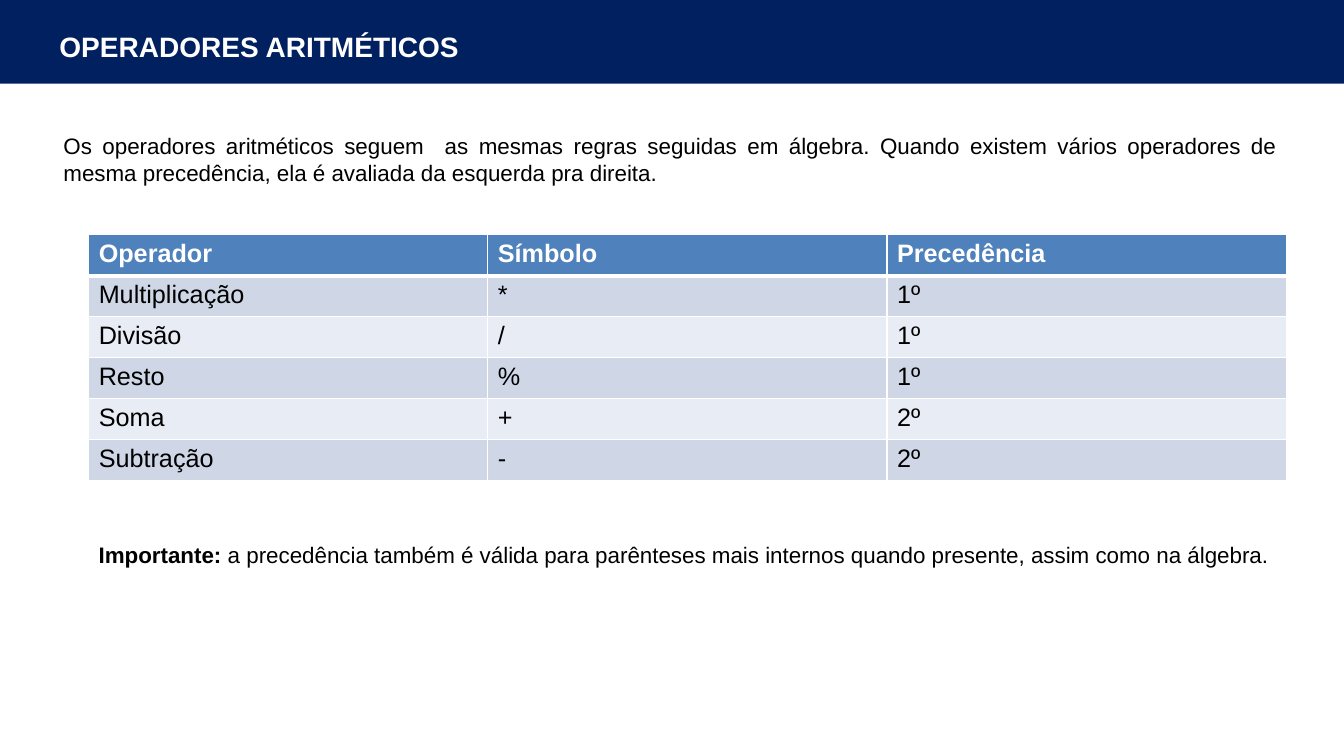
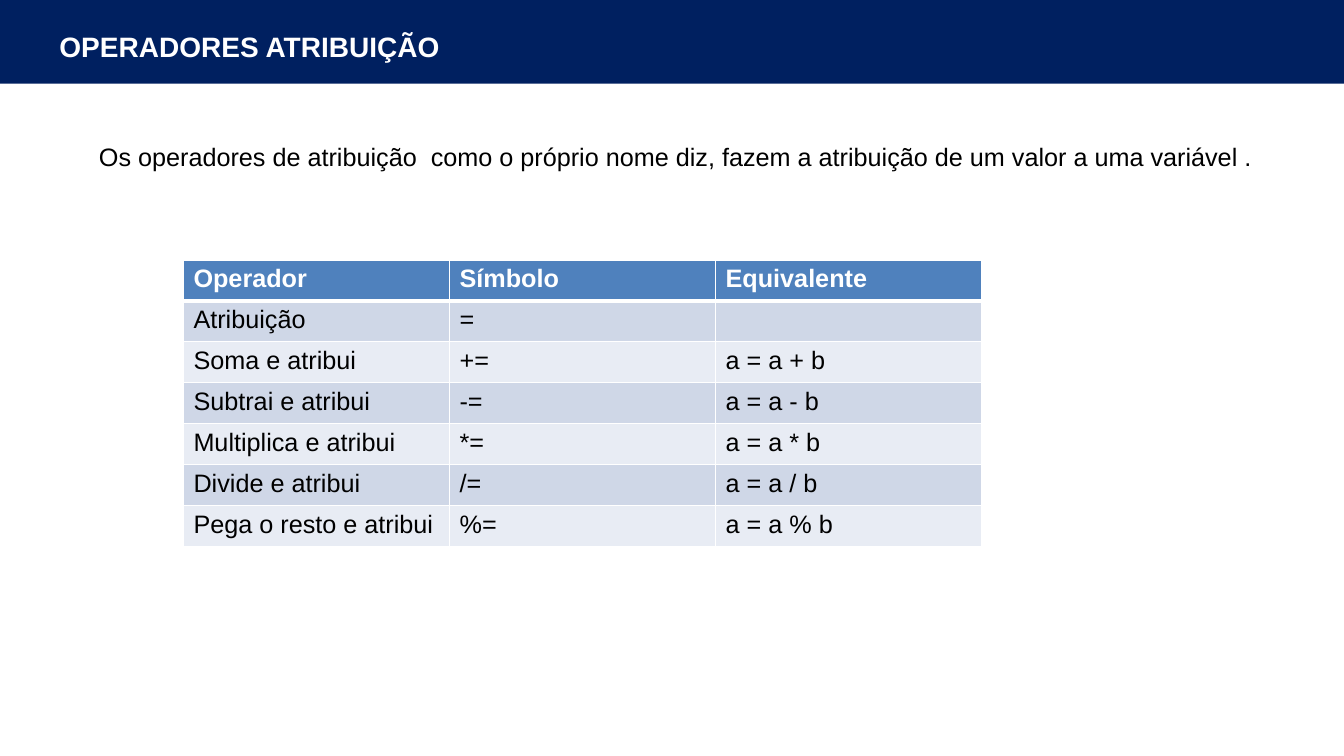
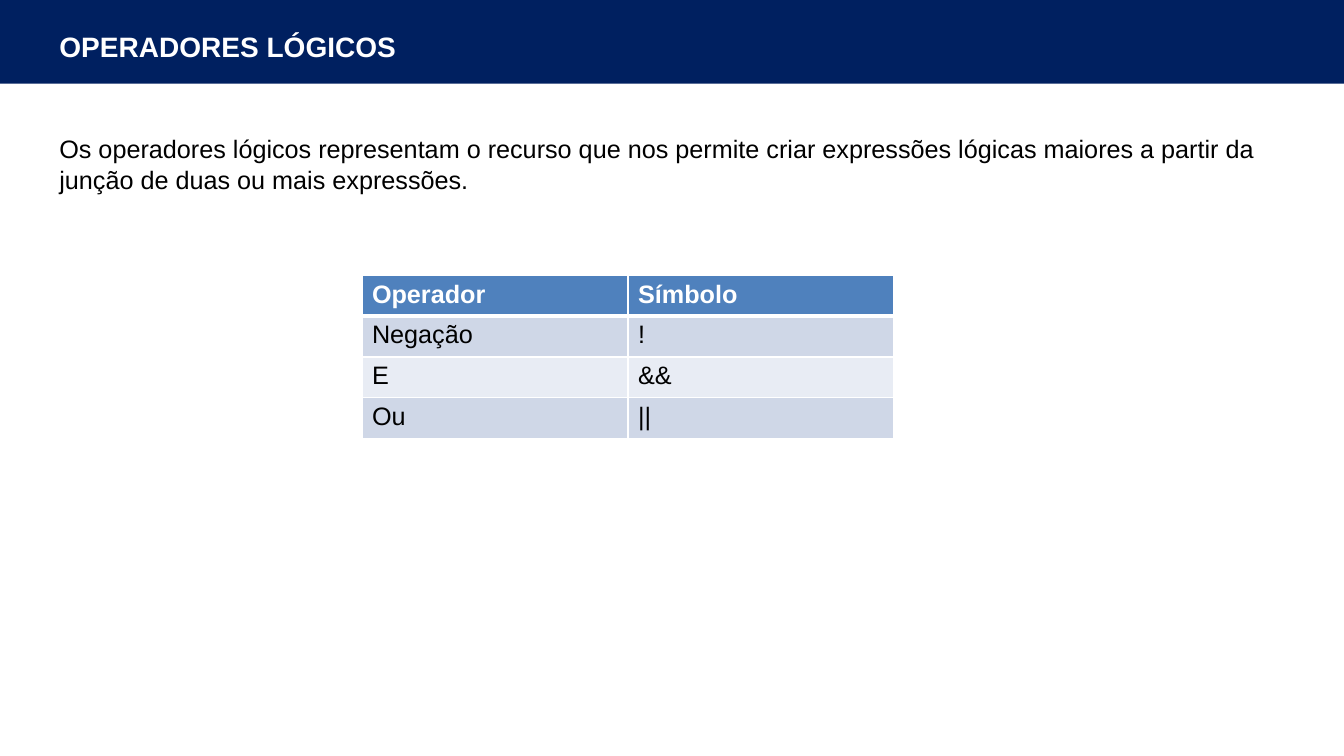
from dataclasses import dataclass
from typing import Any

from lxml.etree import SubElement
from pptx import Presentation
from pptx.dml.color import RGBColor
from pptx.enum.shapes import MSO_SHAPE
from pptx.enum.text import MSO_ANCHOR, PP_ALIGN
from pptx.oxml.ns import qn
from pptx.slide import Slide
from pptx.util import Emu, Inches, Pt

SLIDE_WIDTH, SLIDE_HEIGHT = Inches(13.33), Inches(7.5)


@dataclass(frozen=True)
class Theme:
    font: str = "Arial"
    navy: str = "002060"
    header: str = "4F81BD"
    bands: tuple[str, str] = ("CFD7E7", "E8ECF4")
    white: str = "FFFFFF"
    black: str = "000000"
    title_size: int = 20
    body_size: int = 18
    small_size: int = 16
    thin_border: int = 1
    thick_border: int = 3


THEME = Theme()


@dataclass(frozen=True)
class Area:
    """A rectangle in percent of the slide's width and height."""
    left: float
    top: float
    width: float
    height: float

    def lengths(self) -> tuple[Emu, Emu, Emu, Emu]:
        return (across(self.left), down(self.top),
                across(self.width), down(self.height))


@dataclass(frozen=True)
class Span:
    text: str
    bold: bool = False


@dataclass(frozen=True)
class TextBlock:
    area: Area
    spans: tuple[Span, ...]
    size: int = THEME.body_size
    color: str = THEME.black
    align: PP_ALIGN = PP_ALIGN.LEFT
    anchor: MSO_ANCHOR = MSO_ANCHOR.TOP


@dataclass(frozen=True)
class OperatorTable:
    left: float
    top: float
    column_width: float
    rows: tuple[tuple[str, ...], ...]


@dataclass(frozen=True)
class Topic:
    title: str
    texts: tuple[TextBlock, ...]
    table: OperatorTable


BAND_AREA = Area(0, 0, 100, 11.07)
TITLE_AREA = Area(3.68, 1.87, 34.06, 8.53)
ROW_HEIGHT = 5.41
WIDE_COLUMN, NARROW_COLUMN = 29.7, 19.8

TOPICS = (
    Topic(
        "OPERADORES ARITMÉTICOS",
        (
            TextBlock(
                Area(3.98, 16.83, 91.75, 8),
                (Span("Os operadores aritméticos seguem  as mesmas regras seguidas em "
                      "álgebra. Quando existem vários operadores de mesma precedência, "
                      "ela é avaliada da esquerda pra direita."),),
                THEME.small_size, align=PP_ALIGN.JUSTIFY),
            TextBlock(
                Area(6.6, 70.93, 89.12, 4.93),
                (Span("Importante:", bold=True),
                 Span(" a precedência também é válida para parênteses mais internos "
                      "quando presente, assim como na álgebra.")),
                THEME.small_size),
        ),
        OperatorTable(6.6, 31.07, WIDE_COLUMN, (
            ("Operador", "Símbolo", "Precedência"),
            ("Multiplicação", "*", "1º"),
            ("Divisão", "/", "1º"),
            ("Resto", "%", "1º"),
            ("Soma", "+", "2º"),
            ("Subtração", "-", "2º"),
        )),
    ),
    Topic(
        "OPERADORES ATRIBUIÇÃO",
        (
            TextBlock(
                Area(3.68, 18.07, 93.17, 5.47),
                (Span("Os operadores de atribuição  como o próprio nome diz, fazem a "
                      "atribuição de um valor a uma variável ."),),
                align=PP_ALIGN.CENTER),
        ),
        OperatorTable(13.65, 34.4, NARROW_COLUMN, (
            ("Operador", "Símbolo", "Equivalente"),
            ("Atribuição", "=", ""),
            ("Soma e atribui", "+=", "a = a + b"),
            ("Subtrai e atribui", "-=", "a = a - b"),
            ("Multiplica e atribui", "*=", "a = a * b"),
            ("Divide e atribui", "/=", "a = a / b"),
            ("Pega o resto e atribui", "%=", "a = a % b"),
        )),
    ),
    Topic(
        "OPERADORES LÓGICOS",
        (
            TextBlock(
                Area(3.68, 17.04, 93.17, 9.2),
                (Span("Os operadores lógicos representam o recurso que nos permite criar "
                      "expressões lógicas maiores a partir da junção de duas ou mais "
                      "expressões."),)),
        ),
        OperatorTable(26.93, 36.4, NARROW_COLUMN, (
            ("Operador", "Símbolo"),
            ("Negação", "!"),
            ("E", "&&"),
            ("Ou", "||"),
        )),
    ),
)


def across(percent: float) -> Emu:
    return Emu(round(SLIDE_WIDTH * percent / 100))


def down(percent: float) -> Emu:
    return Emu(round(SLIDE_HEIGHT * percent / 100))


def paint(fill: Any, color: str) -> None:
    fill.solid()
    fill.fore_color.rgb = RGBColor.from_string(color)


def add_span(para: Any, span: Span, size: int, color: str) -> None:
    run = para.add_run()
    run.text = span.text
    formats = {"name": THEME.font, "size": Pt(size), "bold": span.bold}
    for name, value in formats.items():
        setattr(run.font, name, value)
    run.font.color.rgb = RGBColor.from_string(color)


def draw_band(slide: Slide) -> None:
    band = slide.shapes.add_shape(MSO_SHAPE.RECTANGLE, *BAND_AREA.lengths())
    band.shadow.inherit = False
    paint(band.fill, THEME.navy)
    band.line.fill.background()


def draw_text(slide: Slide, block: TextBlock) -> None:
    frame = slide.shapes.add_textbox(*block.area.lengths()).text_frame
    formats = {"word_wrap": True, "vertical_anchor": block.anchor}
    for name, value in formats.items():
        setattr(frame, name, value)
    para = frame.paragraphs[0]
    para.alignment = block.align
    for span in block.spans:
        add_span(para, span, block.size, block.color)


def draw_borders(cell: Any, top: int, bottom: int) -> None:
    """Put white lines, with widths in points, ahead of the cell's fill."""
    properties = cell._tc.get_or_add_tcPr()
    widths = {"a:lnL": THEME.thin_border, "a:lnR": THEME.thin_border,
              "a:lnT": top, "a:lnB": bottom}
    for position, (tag, width) in enumerate(widths.items()):
        line = SubElement(properties, qn(tag), w=str(Pt(width)))
        color = SubElement(SubElement(line, qn("a:solidFill")), qn("a:srgbClr"))
        color.set("val", THEME.white)
        properties.insert(position, line)


def draw_table(slide: Slide, content: OperatorTable) -> None:
    row_count, column_count = len(content.rows), len(content.rows[0])
    area = Area(content.left, content.top,
                content.column_width * column_count, ROW_HEIGHT * row_count)
    table = slide.shapes.add_table(row_count, column_count, *area.lengths()).table
    for row_index, texts in enumerate(content.rows):
        is_header = row_index == 0
        fill = THEME.header if is_header else THEME.bands[(row_index - 1) % 2]
        color = THEME.white if is_header else THEME.black
        top = THEME.thick_border if row_index == 1 else THEME.thin_border
        bottom = THEME.thick_border if is_header else THEME.thin_border
        for column_index, text in enumerate(texts):
            cell = table.cell(row_index, column_index)
            paint(cell.fill, fill)
            draw_borders(cell, top, bottom)
            if text:
                add_span(cell.text_frame.paragraphs[0], Span(text, is_header),
                         THEME.body_size, color)


def draw_topic(slide: Slide, topic: Topic) -> None:
    draw_band(slide)
    draw_text(slide, TextBlock(TITLE_AREA, (Span(topic.title, bold=True),),
                               THEME.title_size, THEME.white,
                               anchor=MSO_ANCHOR.MIDDLE))
    for block in topic.texts:
        draw_text(slide, block)
    draw_table(slide, topic.table)


def main() -> None:
    deck = Presentation()
    deck.slide_width, deck.slide_height = SLIDE_WIDTH, SLIDE_HEIGHT
    blank_layout = deck.slide_layouts[6]
    for topic in TOPICS:
        draw_topic(deck.slides.add_slide(blank_layout), topic)
    deck.save("out.pptx")


if __name__ == "__main__":
    main()
